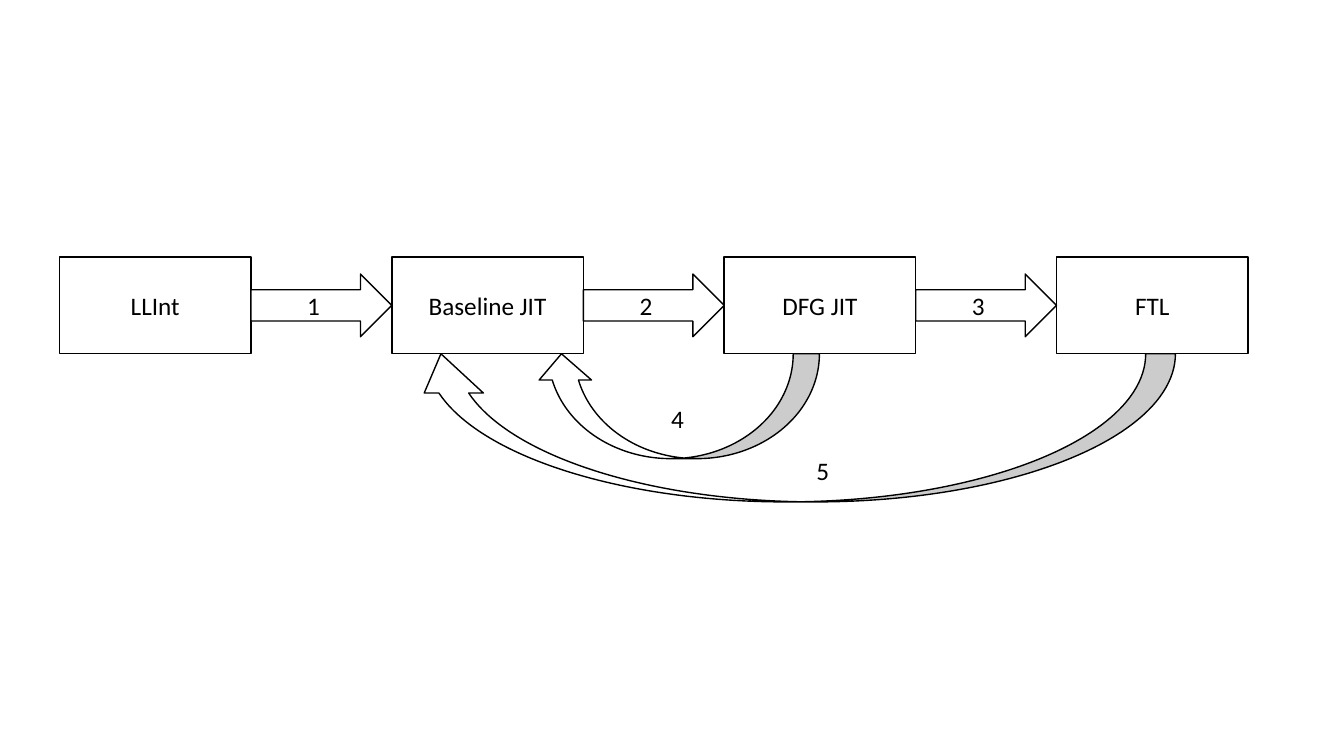
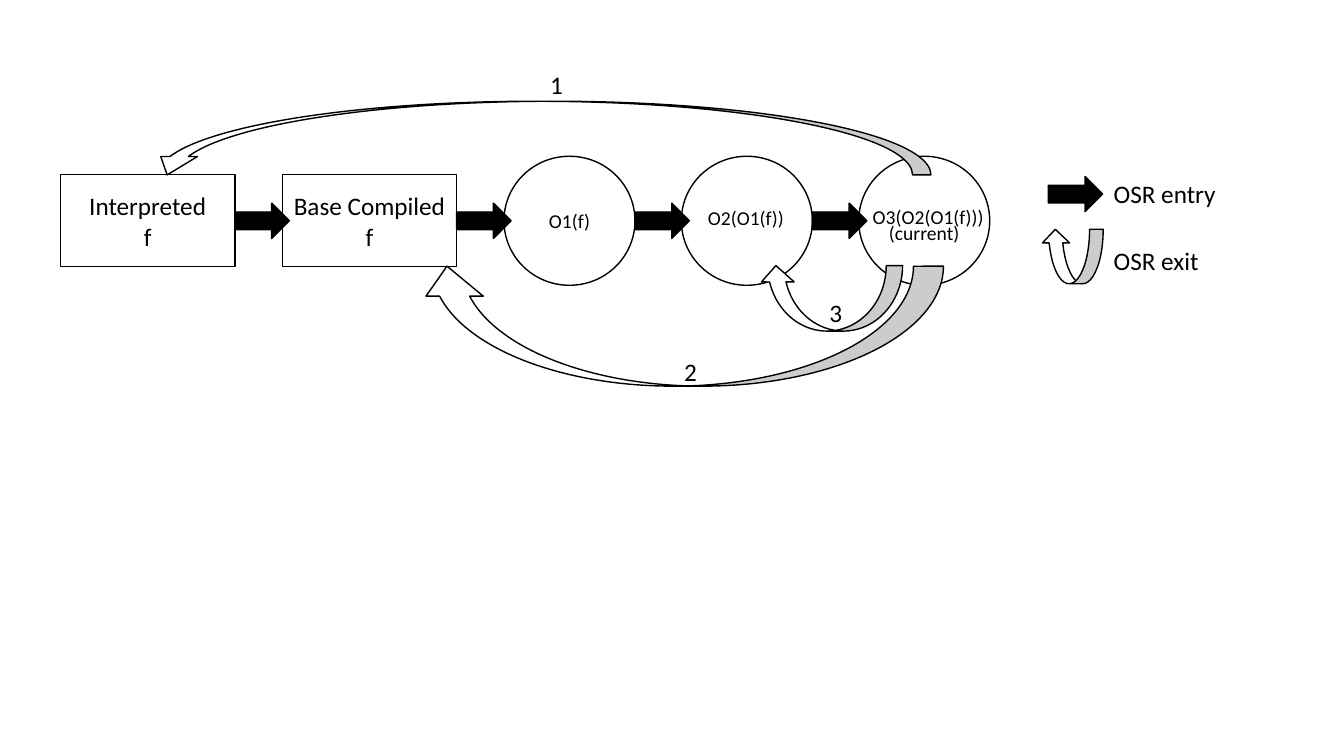
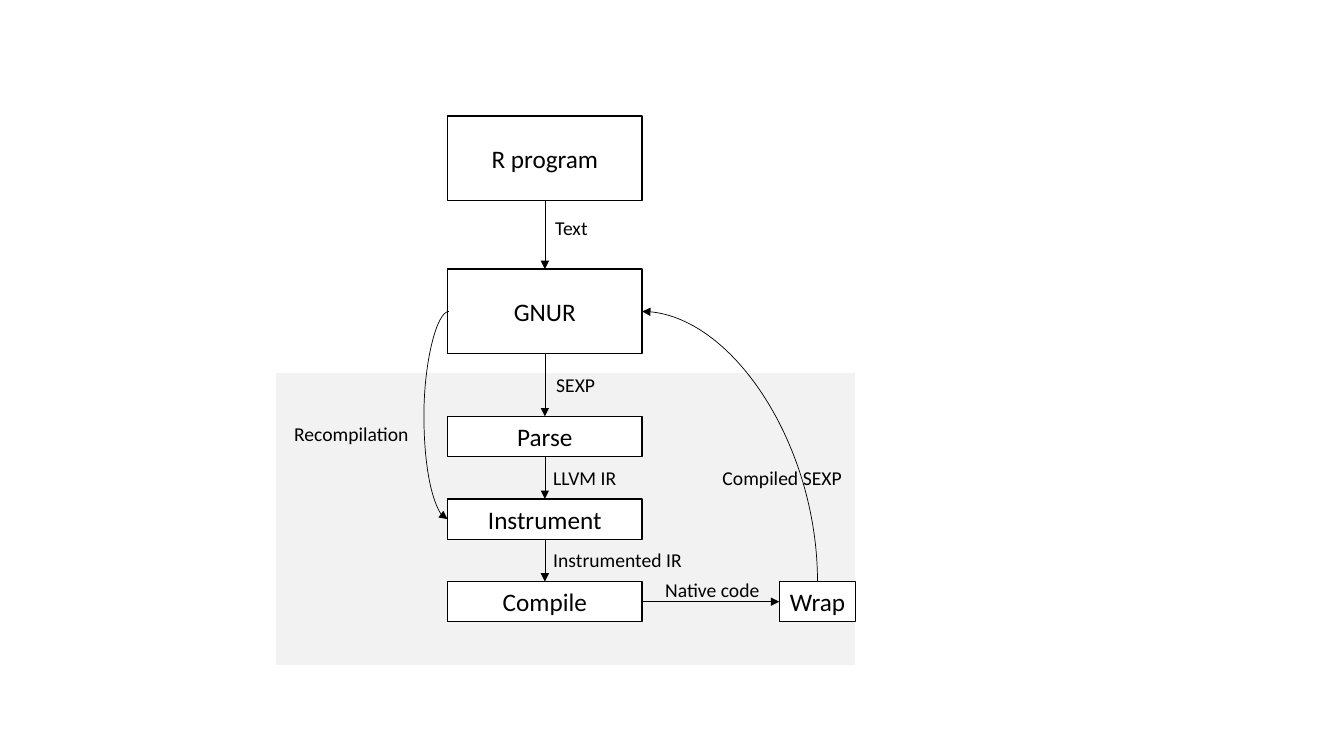
from pptx import Presentation
from pptx.dml.color import RGBColor
from pptx.enum import shapes, text
from pptx.oxml import parse_xml
from pptx.oxml.ns import nsdecls, qn
from pptx.util import Pt

COLORS = {"ink": "000000", "paper": "FFFFFF", "band": "F2F2F2"}
FONT = "Calibri"
SHAPE = shapes.MSO_SHAPE
CONNECTOR = shapes.MSO_CONNECTOR
TOP, LEFT, BOTTOM, RIGHT = range(4)  # connection sites of a rectangle


def color(name):
    return RGBColor.from_string(COLORS[name])


def write(text_frame, content, size, align):
    text_frame.text = content
    for paragraph in text_frame.paragraphs:
        paragraph.alignment = align
        for run in paragraph.runs:
            run.font.size = Pt(size)
            run.font.name = FONT
            run.font.color.rgb = color("ink")


def add_node(slide, preset, left, top, width, height, content="", size=18,
             fill="paper", line="ink"):
    """Add an outlined shape with centred text."""
    shape = slide.shapes.add_shape(preset, Pt(left), Pt(top), Pt(width), Pt(height))
    shape.shadow.inherit = False
    shape.fill.solid()
    shape.fill.fore_color.rgb = color(fill)
    shape.line.color.rgb = color(line)
    shape.line.width = Pt(1)
    if content:
        shape.text_frame.vertical_anchor = text.MSO_ANCHOR.MIDDLE
        write(shape.text_frame, content, size, text.PP_ALIGN.CENTER)
    return shape


def add_curved_arrow(slide, preset, left, top, width, height, rotation, adjustments=()):
    """Add a curved block arrow; the box is the one before rotation."""
    arrow = add_node(slide, preset, left, top, width, height)
    arrow.rotation = rotation
    for index, value in enumerate(adjustments):
        arrow.adjustments[index] = value


def add_entry_arrow(slide, left, middle):
    """Add a black block arrow centred on the height given."""
    add_node(slide, SHAPE.RIGHT_ARROW, left, middle - 12.6, 38.9, 25.2, fill="ink")


def add_label(slide, content, left, top, width=23.8, size=18, align=text.PP_ALIGN.LEFT):
    box = slide.shapes.add_textbox(Pt(left), Pt(top), Pt(width), Pt(size * 1.22 + 7.2))
    box.text_frame.word_wrap = False
    box.text_frame.auto_size = text.MSO_AUTO_SIZE.SHAPE_TO_FIT_TEXT
    write(box.text_frame, content, size, align)


def add_arrow(slide, kind, start=(0, 0), end=(0, 0)):
    """Add a thin connector with a triangle at its end."""
    connector = slide.shapes.add_connector(kind, *map(Pt, (*start, *end)))
    connector.line.color.rgb = color("ink")
    connector.line.width = Pt(0.5)
    connector.line._get_or_add_ln().append(
        parse_xml(f'<a:tailEnd {nsdecls("a")} type="triangle"/>'))
    connector.element.spPr.append(parse_xml(f'<a:effectLst {nsdecls("a")}/>'))
    return connector


def link(slide, source, source_site, target, target_site):
    connector = add_arrow(slide, CONNECTOR.STRAIGHT)
    connector.begin_connect(source, source_site)
    connector.end_connect(target, target_site)


def add_side_loop(slide, start, end, bulge):
    """Add a curve that leaves to the left by bulge and returns."""
    connector = add_arrow(slide, CONNECTOR.CURVE, start, end)
    ratio = bulge / (start[0] - end[0])
    guides = connector.element.spPr.find(qn("a:prstGeom")).get_or_add_avLst()
    guides.append(parse_xml(
        f'<a:gd {nsdecls("a")} name="adj1" fmla="val {round(ratio * 100000)}"/>'))


def add_quarter_curve(slide, start, end):
    """Add a curve that leaves upwards and arrives from the right."""
    middle_x, middle_y = (start[0] + end[0]) / 2, (start[1] + end[1]) / 2
    half_width, half_height = (start[1] - end[1]) / 2, (start[0] - end[0]) / 2
    connector = add_arrow(slide, CONNECTOR.CURVE,
                          (middle_x - half_width, middle_y + half_height),
                          (middle_x + half_width, middle_y - half_height))
    properties = connector.element.spPr
    properties.find(qn("a:xfrm")).set("rot", str(270 * 60000))
    properties.find(qn("a:prstGeom")).set("prst", "curvedConnector2")


def build_tiers(slide, left, top):
    width, height, pitch = 136.8, 69.1, 237.4
    arrow_height = 44.8
    tiers = ["LLInt", "Baseline JIT", "DFG JIT", "FTL"]
    for index, name in enumerate(tiers):
        add_node(slide, SHAPE.RECTANGLE, left + index * pitch, top, width, height, name)
    for index in range(len(tiers) - 1):
        add_node(slide, SHAPE.RIGHT_ARROW, left + index * pitch + width,
                 top + (height - arrow_height) / 2, pitch - width, arrow_height,
                 str(index + 1))
    bottom = top + height
    add_curved_arrow(slide, SHAPE.CURVED_DOWN_ARROW, left + 339.8, bottom, 203, 74.9, 180)
    add_curved_arrow(slide, SHAPE.CURVED_DOWN_ARROW, left + 251.3, bottom, 545.8, 105.8,
                     180, (0.201, 0.4, 0.265))
    add_label(slide, "4", left + 429.8, bottom + 31.7)
    add_label(slide, "5", left + 533.5, bottom + 69.1)


def build_versions(slide, left, middle):
    """Draw the chain of compiled versions along the height given."""
    box_width, box_height, box_pitch = 124.6, 65.8, 158.4
    circle_width, circle_height, circle_pitch = 93.6, 92.2, 126.7
    circles_left = left + 2 * box_pitch
    entries = []
    for index, name in enumerate(["Interpreted\nf", "Base Compiled\nf"]):
        x = left + index * box_pitch
        add_node(slide, SHAPE.RECTANGLE, x, middle - box_height / 2,
                 box_width, box_height, name)
        entries.append(x + box_width)
    for index, name in enumerate(["O1(f)", "", "(current)"]):
        x = circles_left + index * circle_pitch
        circle = add_node(slide, SHAPE.OVAL, x, middle - circle_height / 2,
                          circle_width, circle_height, name, 14)
        entries.append(x + circle_width)
    circle.text_frame.margin_top = Pt(20.6)
    for x in entries[:-1]:
        add_entry_arrow(slide, x, middle)

    add_curved_arrow(slide, SHAPE.CURVED_DOWN_ARROW, left + 255.6, middle + 32.4,
                     375.1, 85.7, 180, (0.25, 0.478, 0.25))
    add_curved_arrow(slide, SHAPE.CURVED_LEFT_ARROW, left + 527, middle + 4.3,
                     46.8, 102.2, 90)
    add_curved_arrow(slide, SHAPE.CURVED_RIGHT_ARROW, left + 316.1, middle - 338.4,
                     52.6, 558.7, 90)
    for number, x, y in [("1", 342.7, -111.6), ("2", 438.5, 92.9), ("3", 542.2, 51.1)]:
        add_label(slide, number, left + x, middle + y)
    add_label(slide, "O2(O1(f))", circles_left + circle_pitch + 7.2, middle - 14.4,
              77.8, 14, text.PP_ALIGN.CENTER)
    add_label(slide, "O3(O2(O1(f)))", circles_left + 2 * circle_pitch + 2.9,
              middle - 15.1, 94.3, 14)


def build_legend(slide, left, top):
    add_entry_arrow(slide, left + 2.2, top + 14.8)
    add_label(slide, "OSR entry", left + 41.8, top, 87.8)
    add_curved_arrow(slide, SHAPE.CURVED_LEFT_ARROW, left, top + 37.5, 38.9, 43.9, 90)
    add_label(slide, "OSR exit", left + 41.8, top + 47.6, 75.6)


def build_compiler(slide, left, top):
    width, tall, low = 139, 60.5, 28.8
    column = left + 123.1
    add_node(slide, SHAPE.RECTANGLE, left, top + 182.9, 414.7, 210.2,
             fill="band", line="paper")
    steps = [("R program", 0, tall), ("GNUR", 109.4, tall), ("Parse", 214.6, low),
             ("Instrument", 273.6, low), ("Compile", 332.6, low)]
    nodes = {name: add_node(slide, SHAPE.RECTANGLE, column, top + y, width, height, name)
             for name, y, height in steps}
    wrap_left, wrap_width, wrap_top = left + 360, 54.7, top + 332.6
    wrap = add_node(slide, SHAPE.RECTANGLE, wrap_left, wrap_top, wrap_width, low, "Wrap")

    chain = list(nodes.values())
    for source, target in zip(chain, chain[1:]):
        link(slide, source, BOTTOM, target, TOP)
    link(slide, nodes["Compile"], RIGHT, wrap, LEFT)
    gnur_middle = top + 109.4 + tall / 2
    add_side_loop(slide, (column + 1, gnur_middle), (column, top + 273.6 + low / 2), 18)
    add_quarter_curve(slide, (wrap_left + wrap_width / 2, wrap_top),
                      (column + width, gnur_middle))

    labels = [("Text", 192.9, 67.7, 38.2), ("SEXP", 193.6, 180, 42.5),
              ("LLVM IR", 191.5, 246.2, 59.8), ("Instrumented IR", 191.5, 305.3, 107.3),
              ("Native code", 271.4, 326.2, 82.8), ("Compiled SEXP", 312.4, 246.2, 100.8),
              ("Recompilation", 6.4, 215.3, 97.2)]
    for content, x, y, label_width in labels:
        add_label(slide, content, left + x, top + y, label_width, 14)


def main():
    presentation = Presentation()
    presentation.slide_width, presentation.slide_height = Pt(960), Pt(540)
    blank = presentation.slide_layouts[6]
    tiers, versions, compiler = (presentation.slides.add_slide(blank) for _ in range(3))
    build_tiers(tiers, 42.5, 183.6)
    build_versions(versions, 43.2, 157.7)
    build_legend(versions, 746.6, 123.8)
    build_compiler(compiler, 196.6, 82.8)
    presentation.save("out.pptx")


if __name__ == "__main__":
    main()
